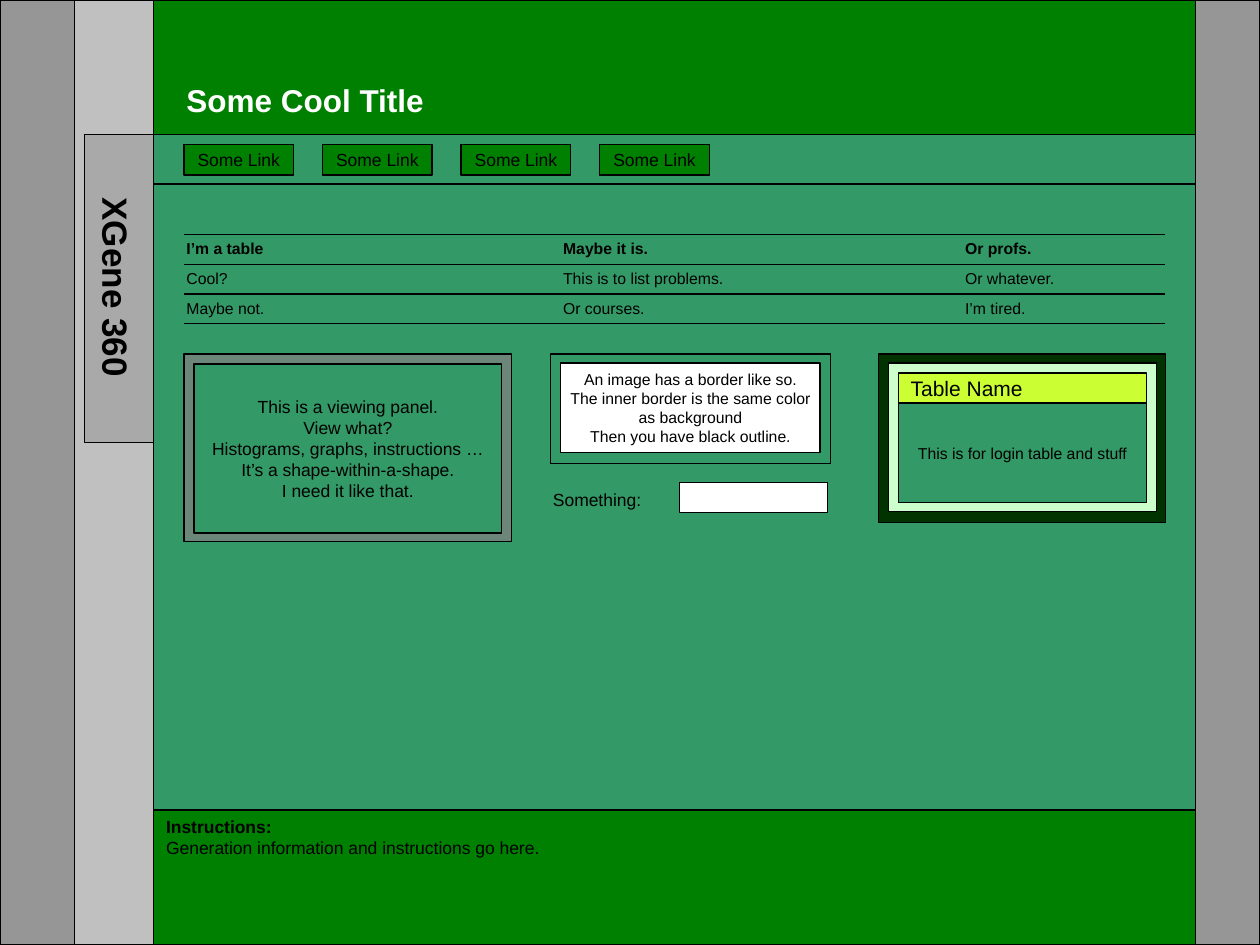
from lxml.etree import SubElement
from pptx import Presentation
from pptx.dml.color import RGBColor as RGB
from pptx.enum.shapes import MSO_SHAPE as Shape
from pptx.enum.text import MSO_ANCHOR as Anchor, MSO_AUTO_SIZE as Fit, PP_ALIGN as Align
from pptx.oxml.ns import qn
from pptx.util import Inches, Pt

BLACK = RGB(0x00, 0x00, 0x00)
WHITE = RGB(0xFF, 0xFF, 0xFF)
GRAY = RGB(0x96, 0x96, 0x96)
SILVER = RGB(0xC0, 0xC0, 0xC0)
STEEL = RGB(0x80, 0x80, 0x80)
SLATE = RGB(0x77, 0x77, 0x77)
SEA = RGB(0x33, 0x99, 0x66)
GREEN = RGB(0x00, 0x80, 0x00)
DARK = RGB(0x00, 0x33, 0x00)
MINT = RGB(0xCC, 0xFF, 0xCC)
LIME = RGB(0xCC, 0xFF, 0x33)


class Page:
    font = "Arial"
    line = Pt(0.75)

    def __init__(self, slide):
        self.slide = slide
        self.shapes = slide.shapes

    def fill_text(self, frame, text, size, color=BLACK, bold=False, align=Align.LEFT):
        frame.text = text
        for para in frame.paragraphs:
            para.alignment = align
            para.space_before = Pt(0)
            for run in para.runs:
                font = run.font
                font.name, font.size, font.bold = self.font, Pt(size), bold
                font.color.rgb = color

    def title(self, text, x, y, w, h):
        title = self.shapes.title
        self.shapes._spTree.append(title._element)  # in front of the panels
        title.left, title.top, title.width, title.height = map(Inches, (x, y, w, h))
        frame = title.text_frame
        frame.auto_size, frame.vertical_anchor = Fit.NONE, Anchor.TOP
        self.fill_text(frame, text, 18, WHITE, True)

    def box(self, x, y, w, h, fill=None, text="", size=10, align=Align.CENTER,
            anchor=Anchor.MIDDLE, alpha=None):
        box = self.shapes.add_shape(Shape.RECTANGLE, *map(Inches, (x, y, w, h)))
        box.shadow.inherit = False
        box.line.color.rgb, box.line.width = BLACK, self.line
        if fill is None:
            box.fill.background()
        else:
            box.fill.solid()
            box.fill.fore_color.rgb = fill
        if alpha:
            color = box._element.spPr.find(qn("a:solidFill"))[0]
            SubElement(color, qn("a:alpha"), val=str(alpha * 1000))
        if text:
            frame = box.text_frame
            frame.word_wrap = align == Align.LEFT
            frame.vertical_anchor = anchor
            self.fill_text(frame, text, size, align=align)
        return box

    def label(self, x, y, w, h, text, size, bold=False, turn=0):
        label = self.shapes.add_textbox(*map(Inches, (x, y, w, h)))
        label.rotation = turn
        label.text_frame.word_wrap = True
        self.fill_text(label.text_frame, text, size, bold=bold)

    def rule(self, cell):
        """Draw lines above and below the cell, none at its sides."""
        props = cell._tc.get_or_add_tcPr()
        for side in "LRTB":
            edge = SubElement(props, qn(f"a:ln{side}"), w=str(self.line))
            if side in "LR":
                SubElement(edge, qn("a:noFill"))
            else:
                fill = SubElement(edge, qn("a:solidFill"))
                SubElement(fill, qn("a:srgbClr"), val=str(BLACK))

    def table(self, x, y, widths, h, rows):
        area = map(Inches, (x, y, sum(widths), h))
        table = self.shapes.add_table(len(rows), len(widths), *area).table
        table.first_row = table.horz_banding = False
        for col, width in zip(table.columns, widths):
            col.width = Inches(width)
        for r, row in enumerate(rows):
            for c, text in enumerate(row):
                cell = table.cell(r, c)
                self.rule(cell)
                cell.fill.background()
                cell.margin_left = cell.margin_right = Inches(0.02)
                cell.margin_top = cell.margin_bottom = 0
                cell.vertical_anchor = Anchor.MIDDLE
                self.fill_text(cell.text_frame, text, 9, bold=r == 0)


def main():
    deck = Presentation()
    deck.slide_width, deck.slide_height = Inches(10), Inches(7.5)
    page = Page(deck.slides.add_slide(deck.slide_layouts[5]))

    # Page frame
    left, wide, band = 1.22, 8.27, 1.07
    page.box(0, 0, 10, 7.5, GRAY)
    page.box(0.59, 0, 8.9, 7.5, SILVER)
    page.box(left, 0, wide, 7.5, SEA)
    page.box(left, 0, wide, band, GREEN)
    page.title("Some Cool Title", 1.38, 0.59, 2.28, 0.4)
    foot = page.box(left, 6.43, wide, band, GREEN,
                    "Instructions:\nGeneration information and instructions go here.",
                    align=Align.LEFT, anchor=Anchor.TOP)
    foot.text_frame.paragraphs[0].runs[0].font.bold = True

    # Link bar
    page.box(left, band, wide, 0.39, SEA)
    for i in range(4):
        page.box(1.46 + 1.1 * i, 1.15, 0.87, 0.24, GREEN, "Some Link")

    page.table(1.46, 1.86, (2.99, 3.19, 1.61), 0.71, [
        ("I’m a table", "Maybe it is.", "Or profs."),
        ("Cool?", "This is to list problems.", "Or whatever."),
        ("Maybe not.", "Or courses.", "I’m tired."),
    ])

    # Viewing panel
    page.box(1.46, 2.81, 2.6, 1.49, STEEL, alpha=75)
    page.box(1.54, 2.89, 2.44, 1.34, SEA,
             "This is a viewing panel.\nView what?\n"
             "Histograms, graphs, instructions …\n"
             "It’s a shape-within-a-shape.\nI need it like that.")

    # Login table
    page.box(6.97, 2.81, 2.28, 1.34, DARK)
    page.box(7.05, 2.88, 2.13, 1.18, MINT)
    page.box(7.13, 2.96, 1.97, 0.24, LIME, "Table Name", 12, Align.LEFT)
    page.box(7.13, 3.2, 1.97, 0.79, SEA, "This is for login table and stuff", 9)

    # Bordered image and input field
    page.box(4.37, 2.81, 2.22, 0.87)
    page.box(4.45, 2.88, 2.06, 0.71, WHITE,
             "An image has a border like so.\n"
             "The inner border is the same color\nas background\n"
             "Then you have black outline.", 9)
    page.box(5.39, 3.83, 1.18, 0.24, WHITE)
    page.label(4.29, 3.83, 1.18, 0.27, "Something:", 10)

    # Side tab
    page.box(0.67, band, 0.55, 2.44, SLATE, alpha=30)
    page.label(0.09, 2.08, 1.66, 0.44, "XGene 360", 20, True, 90)

    deck.save("out.pptx")


if __name__ == "__main__":
    main()
